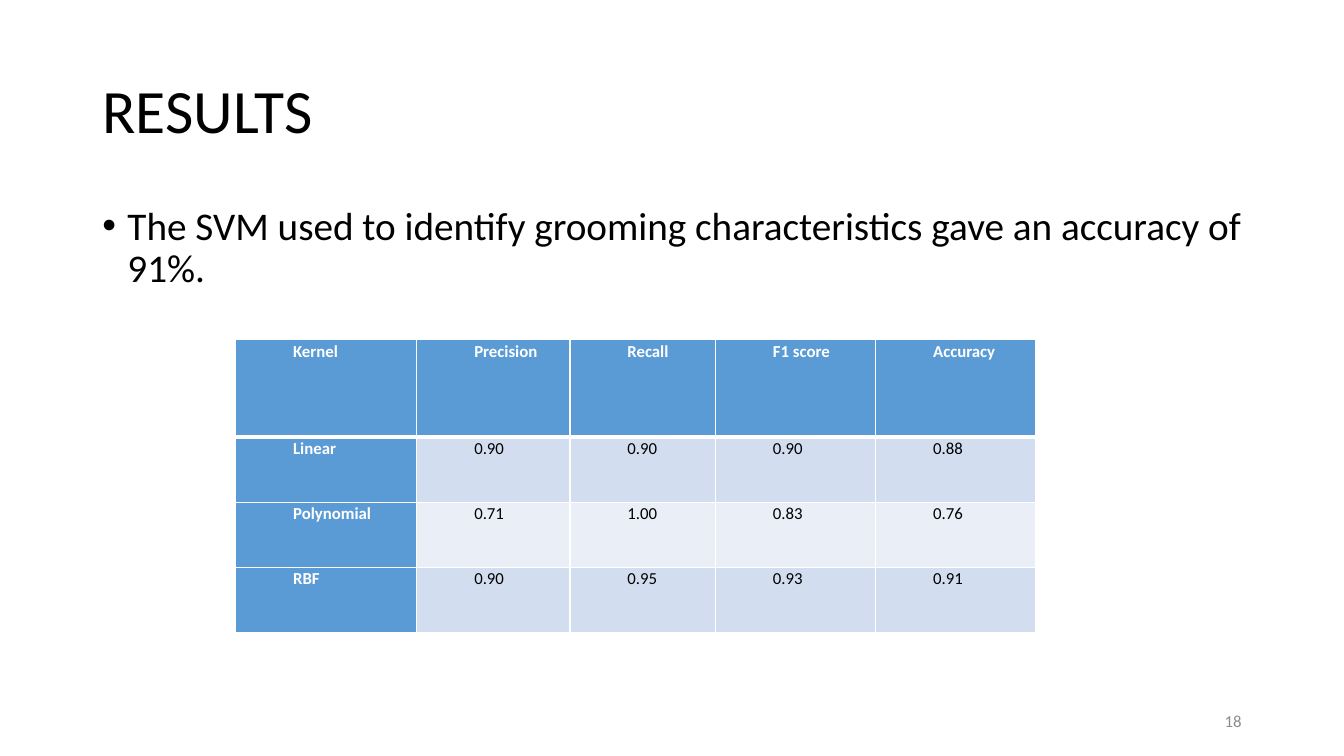
from lxml import etree
from pptx import Presentation
from pptx import util as u
from pptx.dml import color
from pptx.enum import text
from pptx.oxml import ns

WHITE, BLACK, GREY = "FFFFFF", "000000", "8C8C8C"
BLUE, BANDS = "5B9BD5", ("D2DEEF", "EAEFF7")


def rgb(value):
    return color.RGBColor.from_string(value)


class SlideBuilder:
    """Holds the style and the current slide; lengths are in points."""

    font = "Calibri"

    def __init__(self, prs):
        self.s = prs.slides.add_slide(prs.slide_layouts[5])

    def paragraph(self, tf, words, size, colour, bold=False, indent=None, **settings):
        p = tf.paragraphs[0]
        for name, value in settings.items():
            setattr(p, name, value)
        if indent:
            left, first = indent
            pPr = p._p.get_or_add_pPr()
            pPr.set("marL", str(u.Pt(left)))
            pPr.set("indent", str(u.Pt(first)))
        r = p.add_run()
        r.text = words
        for name, value in dict(name=self.font, size=u.Pt(size), bold=bold).items():
            setattr(r.font, name, value)
        r.font.color.rgb = rgb(colour)
        return p

    def frame(self, sp, anchor):
        settings = dict(word_wrap=True, auto_size=text.MSO_AUTO_SIZE.NONE,
                        vertical_anchor=anchor)
        for name, value in settings.items():
            setattr(sp.text_frame, name, value)
        return sp.text_frame

    def title(self, words, left, top, width, height):
        sp = self.s.shapes.title
        for name, value in dict(left=left, top=top, width=width, height=height).items():
            setattr(sp, name, u.Pt(value))
        tf = self.frame(sp, text.MSO_ANCHOR.MIDDLE)
        self.paragraph(tf, words, 44, BLACK, alignment=text.PP_ALIGN.LEFT, line_spacing=0.9)

    def textbox(self, words, box, size, colour, anchor, **settings):
        sp = self.s.shapes.add_textbox(*map(u.Pt, box))
        return self.paragraph(self.frame(sp, anchor), words, size, colour, **settings)

    def bullet(self, words, box):
        p = self.textbox(words, box, 28, BLACK, text.MSO_ANCHOR.TOP,
                         indent=(18, -18), line_spacing=0.9, space_before=u.Pt(10))
        pPr = p._p.get_or_add_pPr()
        etree.SubElement(pPr, ns.qn("a:buFont"), typeface="Arial")
        etree.SubElement(pPr, ns.qn("a:buChar"), char="•")

    def borders(self, cell, **widths):
        tcPr = cell._tc.get_or_add_tcPr()
        for side in "LRTB":
            ln = etree.SubElement(tcPr, ns.qn(f"a:ln{side}"), w=str(u.Pt(widths.get(side, 1))))
            fill = etree.SubElement(ln, ns.qn("a:solidFill"))
            etree.SubElement(fill, ns.qn("a:srgbClr"), val=WHITE)

    def cell(self, cell, words, fill, colour, bold, **widths):
        margins = dict(margin_left=5, margin_right=5, margin_top=0, margin_bottom=0)
        for name, value in margins.items():
            setattr(cell, name, u.Pt(value))
        self.borders(cell, **widths)
        cell.fill.solid()
        cell.fill.fore_color.rgb = rgb(fill)
        self.paragraph(cell.text_frame, words, 12, colour, bold, indent=(36, 0),
                       alignment=text.PP_ALIGN.JUSTIFY, line_spacing=1.07)

    def table(self, rows, left, top, widths, heights):
        box = map(u.Pt, (left, top, sum(widths), sum(heights)))
        tbl = self.s.shapes.add_table(len(rows), len(widths), *box).table
        for column, width in zip(tbl.columns, widths):
            column.width = u.Pt(width)
        for i, (row, height) in enumerate(zip(rows, heights)):
            tbl.rows[i].height = u.Pt(height)
            rule = {0: dict(B=3), 1: dict(T=3)}.get(i, {})
            for j, words in enumerate(row):
                heading = i == 0 or j == 0
                fill = BLUE if heading else BANDS[(i - 1) % 2]
                self.cell(tbl.cell(i, j), words, fill,
                          WHITE if heading else BLACK, heading, **rule)


def main():
    prs = Presentation()
    prs.slide_width, prs.slide_height = u.Pt(960), u.Pt(540)
    slide = SlideBuilder(prs)

    # Title and finding
    slide.title("RESULTS", 66, 28.75, 828, 104.4)
    slide.bullet("The SVM used to identify grooming characteristics gave an accuracy of 91%.",
                 (66, 143.75, 828, 342.6))

    # Scores by kernel
    scores = [
        ("Kernel", "Precision", "Recall", "F1 score", "Accuracy"),
        ("Linear", "0.90", "0.90", "0.90", "0.88"),
        ("Polynomial", "0.71", "1.00", "0.83", "0.76"),
        ("RBF", "0.90", "0.95", "0.93", "0.91"),
    ]
    slide.table(scores, 168.4, 242.6, (129.4, 109.4, 104, 114.4, 114.4),
                (69.8, 46.5, 46.5, 46.5))

    # Slide number
    slide.textbox("18", (678, 500.5, 216, 28.75), 12, GREY, text.MSO_ANCHOR.MIDDLE,
                  alignment=text.PP_ALIGN.RIGHT)

    prs.save("out.pptx")


if __name__ == "__main__":
    main()
